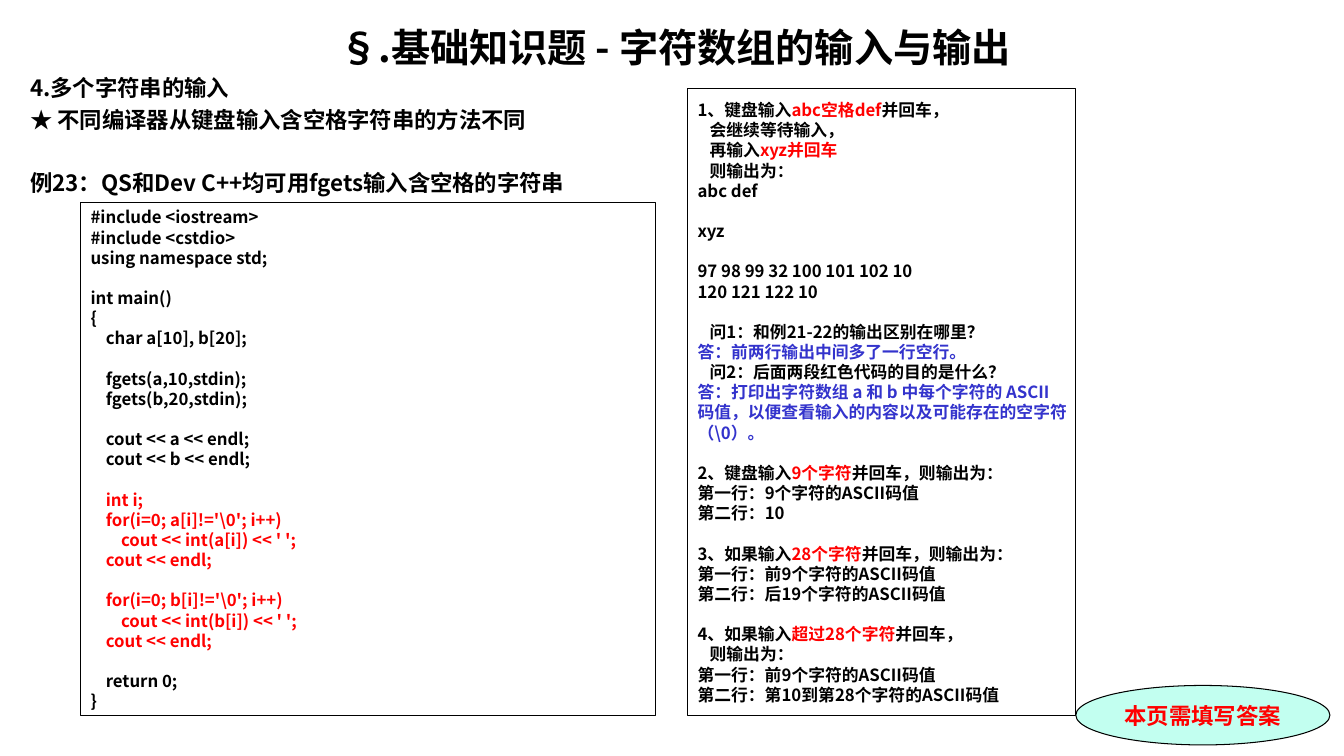
from lxml.etree import SubElement
from pptx import Presentation
from pptx.dml.color import RGBColor
from pptx.enum.shapes import MSO_SHAPE as SHAPE
from pptx.enum.text import MSO_ANCHOR as ANCHOR, PP_ALIGN as ALIGN
from pptx.oxml.ns import qn
from pptx.util import Inches, Pt

UNIT = 0.1
LEADING = 1.2
SANS = "Noto Sans CJK SC"
BLACK, RED, BLUE, MINT = "000000", "FF0000", "3333CC", "C2FFF0"


def line(*runs, color=BLACK, indent=0):
    return [r if isinstance(r, tuple) else (r, color) for r in runs], indent


def red(text):
    return text, RED


def code(text, color=BLACK):
    return [line(row, color=color) for row in text.split("\n")]


CODE = [
    code("#include <iostream>\n#include <cstdio>\nusing namespace std;"),
    code("int main()\n{\n    char a[10], b[20];"),
    code("    fgets(a,10,stdin);\n    fgets(b,20,stdin);"),
    code("    cout << a << endl;\n    cout << b << endl;"),
    code("    int i;\n    for(i=0; a[i]!='\\0'; i++)\n"
         "        cout << int(a[i]) << ' ';\n    cout << endl;", RED),
    code("    for(i=0; b[i]!='\\0'; i++)\n"
         "        cout << int(b[i]) << ' ';\n    cout << endl;", RED),
    code("    return 0;\n}"),
]

ANSWERS = [
    [line("1、键盘输入", red("abc空格def"), "并回车，"),
     line("会继续等待输入，", indent=1.2),
     line("再输入", red("xyz并回车"), indent=1.2),
     line("则输出为：", indent=1.2),
     line("abc def")],
    [line("xyz")],
    [line("97 98 99 32 100 101 102 10"),
     line("120 121 122 10")],
    [line("问1：和例21-22的输出区别在哪里？", indent=1.2),
     line("答：前两行输出中间多了一行空行。", color=BLUE),
     line("问2：后面两段红色代码的目的是什么？", indent=1.2),
     line("答：打印出字符数组 a 和 b 中每个字符的 ASCII", color=BLUE),
     line("码值，以便查看输入的内容以及可能存在的空字符", color=BLUE),
     line("（\\0）。", color=BLUE)],
    [line("2、键盘输入", red("9个字符"), "并回车，则输出为："),
     line("第一行：9个字符的ASCII码值"),
     line("第二行：10")],
    [line("3、如果输入", red("28个字符"), "并回车，则输出为："),
     line("第一行：前9个字符的ASCII码值"),
     line("第二行：后19个字符的ASCII码值")],
    [line("4、如果输入", red("超过28个字符"), "并回车，"),
     line("则输出为：", indent=1.2),
     line("第一行：前9个字符的ASCII码值"),
     line("第二行：第10到第28个字符的ASCII码值")],
]

HEADINGS = [
    [line("4.多个字符串的输入"),
     line("★ 不同编译器从键盘输入含空格字符串的方法不同")],
    [line("例23：QS和Dev C++均可用fgets输入含空格的字符串")],
]


def rgb(color):
    return RGBColor.from_string(color)


def grid(*cells):
    return [Inches(c * UNIT) for c in cells]


def add_run(p, text, size=12, color=BLACK, font=SANS):
    r = p.add_run()
    r.text = text
    r.font.size = Pt(size)
    r.font.bold = True
    r.font.color.rgb = rgb(color)
    r.font.name = font
    SubElement(r.font._element, qn("a:ea")).set("typeface", SANS)


def add_line(tf, content, size=12, align=ALIGN.LEFT, before=0, font=SANS):
    runs, indent = content
    first = not tf.paragraphs[0].runs
    p = tf.paragraphs[0] if first else tf.add_paragraph()
    p.alignment = align
    p.line_spacing = Pt(size * LEADING)
    if not first:
        p.space_before = Pt(before)
    if indent:
        p._p.get_or_add_pPr().set("marL", str(Inches(indent * UNIT)))
    for text, color in runs:
        add_run(p, text, size, color, font)


def add_blocks(tf, blocks, size=12, before=0):
    blank = size * LEADING + before
    for n, block in enumerate(blocks):
        for i, content in enumerate(block):
            gap = blank if n and i == 0 else 0
            add_line(tf, content, size, before=before + gap)


def add_panel(s, kind, cells, fill=None):
    sp = s.shapes.add_shape(kind, *grid(*cells))
    sp.shadow.inherit = False
    if fill:
        sp.fill.solid()
        sp.fill.fore_color.rgb = rgb(fill)
    else:
        sp.fill.background()
    sp.line.color.rgb = rgb(BLACK)
    sp.line.width = Pt(0.75)
    tf = sp.text_frame
    tf.word_wrap = True
    tf.vertical_anchor = ANCHOR.MIDDLE
    return tf


def add_heading(s):
    tf = s.shapes.add_textbox(*grid(2, 1.8, 129.9, 18)).text_frame
    tf.word_wrap = True
    add_line(tf, line("§.基础知识题 - 字符数组的输入与输出"), 28, ALIGN.CENTER)
    add_blocks(tf, HEADINGS, size=16, before=3.2)


def add_text_panel(s, cells, blocks):
    tf = add_panel(s, SHAPE.RECTANGLE, cells)
    tf.margin_right = 0
    add_blocks(tf, blocks)


def add_badge(s):
    tf = add_panel(s, SHAPE.OVAL, (106.7, 68, 25.2, 5.9), MINT)
    tf.margin_left = tf.margin_right = 0
    add_line(tf, line("本页需填写答案", color=RED), 16, ALIGN.CENTER,
             font="Times New Roman")


def main():
    prs = Presentation()
    prs.slide_width, prs.slide_height = Inches(13.33), Inches(7.5)
    s = prs.slides.add_slide(prs.slide_layouts[6])
    add_heading(s)
    add_badge(s)
    add_text_panel(s, (8, 20.1, 57, 50.9), CODE)
    add_text_panel(s, (68.2, 8.8, 38.5, 62.2), ANSWERS)
    prs.save("out.pptx")


if __name__ == "__main__":
    main()
